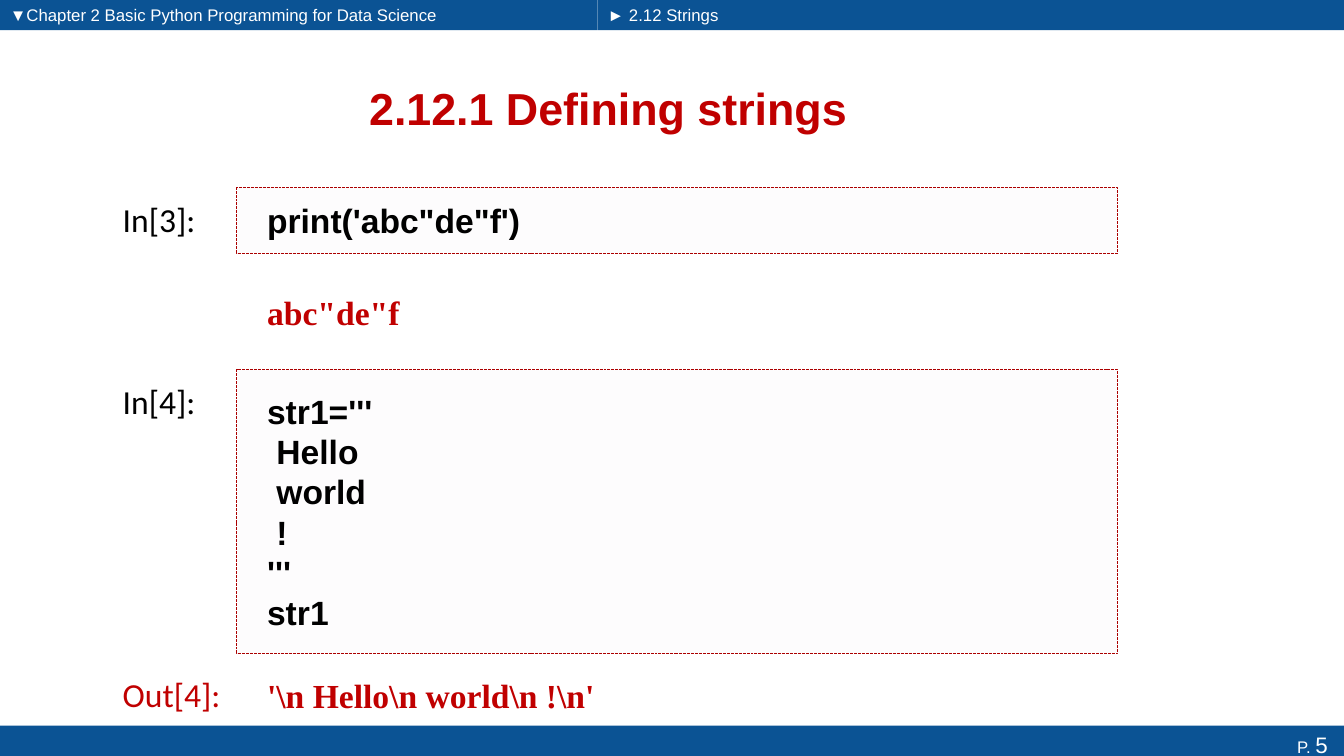
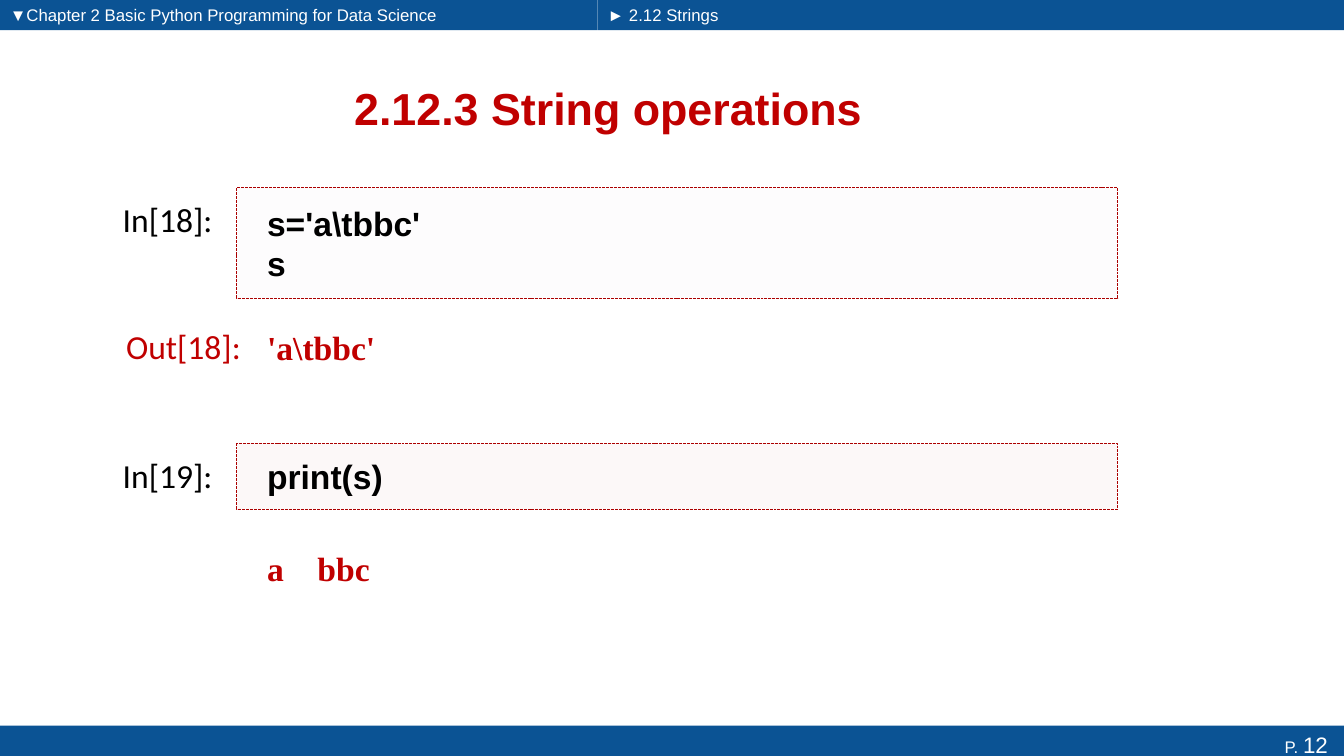
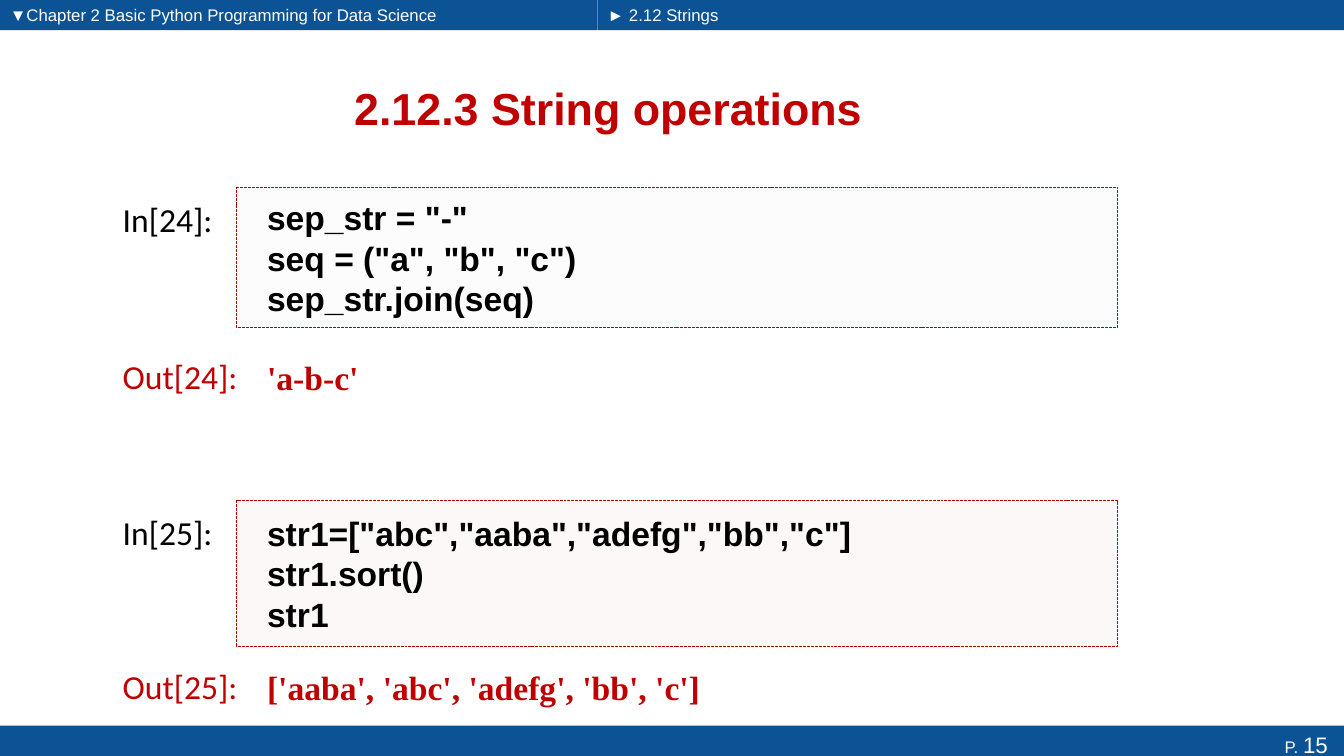
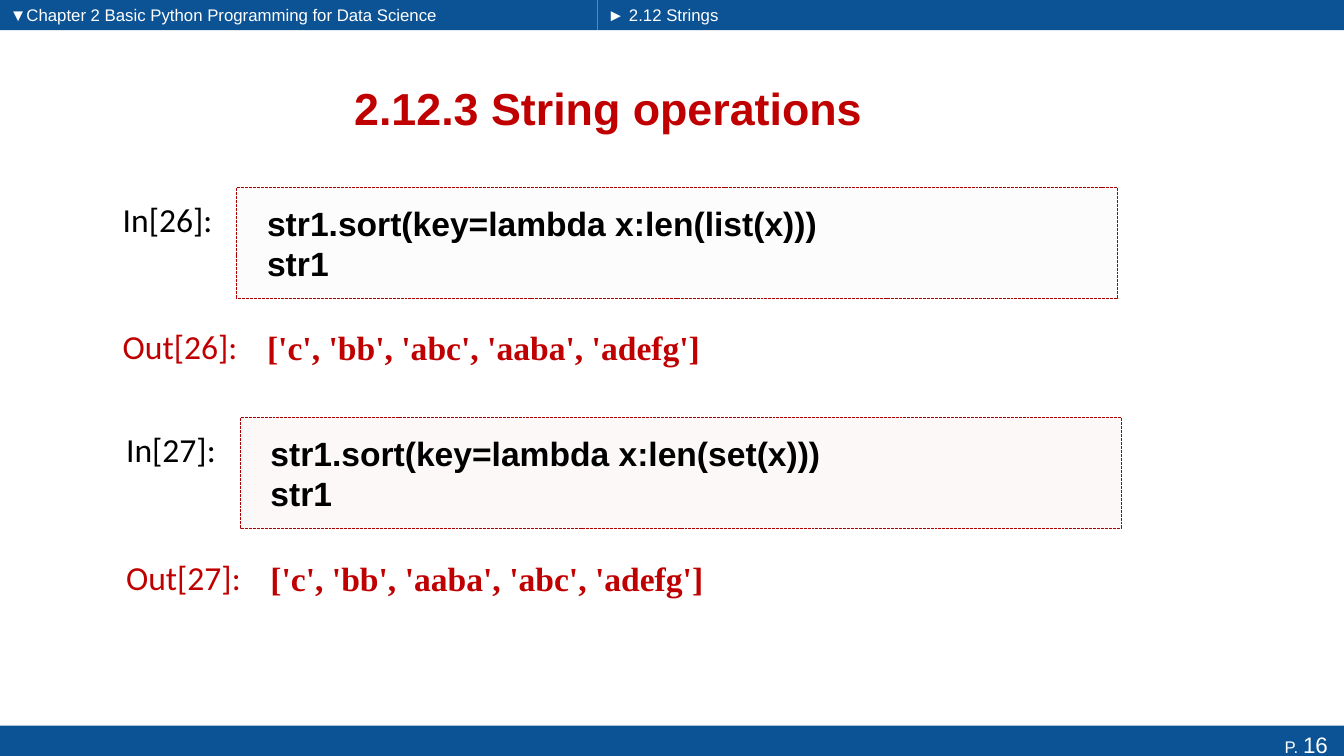
"""Build four slides of notebook cells about Python strings."""
from lxml import etree
from pptx import Presentation
from pptx.dml.color import RGBColor
from pptx.enum import dml, shapes, text
from pptx.oxml.ns import qn
from pptx.util import Pt

BLUE = RGBColor(0x0B, 0x53, 0x94)
WHITE = RGBColor(0xFF, 0xFF, 0xFF)
BLACK = RGBColor(0, 0, 0)
RED = RGBColor(0xC0, 0, 0)
DARK_RED = RGBColor(0xAB, 0, 0)
GREY = RGBColor(0xF1, 0xEE, 0xF4)
PINK = RGBColor(0xED, 0xCD, 0xCB)

BAND = dict(name="Arial", size=Pt(12), color=WHITE)
PAGE = dict(BAND, size=Pt(16))
TITLE = dict(name="Arial", size=Pt(32), bold=True, color=RED)
CODE = dict(name="Arial", size=Pt(24), bold=True, color=BLACK)
RESULT = dict(CODE, name="Times New Roman", color=RED)
IN_LABEL = dict(name="Calibri", size=Pt(24), color=BLACK)
OUT_LABEL = dict(IN_LABEL, color=RED)

WIDTH, HEIGHT = 960, 540
LABEL_LEFT, LABEL_WIDTH, LABEL_DROP = 80.6, 108, 4.6
CELL_LEFT, CELL_WIDTH, LINE_HEIGHT = 169.2, 629.3, 46.8
SHIFT = 2.4

SLIDES = [
    ("2.12.1 Defining strings", 5, [
        ("In[3]:", 0, 0, 134, LINE_HEIGHT, GREY, ["print('abc\"de\"f')"]),
        ("", 0, 0, 199.4, LINE_HEIGHT, None, ["abc\"de\"f"]),
        ("In[4]:", 0, 0, 263.8, 203, GREY,
         ["str1='''", " Hello", " world", " !", "'''", "str1"]),
        ("Out[4]:", 0, 0, 473, LINE_HEIGHT, None, [r"'\n Hello\n world\n !\n'"]),
    ]),
    ("2.12.3 String operations", 12, [
        ("In[18]:", 0, 0, 134, 79, GREY, [r"s='a\tbbc'", "s"]),
        ("Out[18]:", SHIFT, 0, 224.6, LINE_HEIGHT, None, [r"'a\tbbc'"]),
        ("In[19]:", 0, 0, 316.8, LINE_HEIGHT, PINK, ["print(s)"]),
        ("", 0, 0, 382.3, LINE_HEIGHT, None, ["a\tbbc"]),
    ]),
    ("2.12.3 String operations", 15, [
        ("In[24]:", 0, 0, 134, 100, GREY,
         ['sep_str = "-"', 'seq = ("a", "b", "c")', "sep_str.join(seq)"]),
        ("Out[24]:", 0, 0, 246.2, LINE_HEIGHT, None, ["'a-b-c'"]),
        ("In[25]:", 0, 0, 357.6, 104, PINK,
         ['str1=["abc","aaba","adefg","bb","c"]', "str1.sort()", "str1"]),
        ("Out[25]:", 0, 0, 467.3, LINE_HEIGHT, None,
         ["['aaba', 'abc', 'adefg', 'bb', 'c']"]),
    ]),
    ("2.12.3 String operations", 16, [
        ("In[26]:", 0, 0, 134, 79, GREY,
         ["str1.sort(key=lambda x:len(list(x)))", "str1"]),
        ("Out[26]:", 0, 0, 224.6, LINE_HEIGHT, None,
         ["['c', 'bb', 'abc', 'aaba', 'adefg']"]),
        ("In[27]:", SHIFT, SHIFT, 298.4, 79, PINK,
         ["str1.sort(key=lambda x:len(set(x)))", "str1"]),
        ("Out[27]:", SHIFT, SHIFT, 389.5, LINE_HEIGHT, None,
         ["['c', 'bb', 'aaba', 'abc', 'adefg']"]),
    ]),
]


def add_box(s, left, top, width, height, fill=None):
    """Add a text box, or a plain rectangle when a fill is given."""
    box = [Pt(v) for v in (left, top, width, height)]
    if fill is None:
        sp = s.shapes.add_textbox(*box)
    else:
        sp = s.shapes.add_shape(shapes.MSO_SHAPE.RECTANGLE, *box)
        sp.shadow.inherit = False
        sp.fill.solid()
        sp.fill.fore_color.rgb = fill
        sp.line.fill.background()
    sp.text_frame.word_wrap = True
    sp.text_frame.vertical_anchor = text.MSO_ANCHOR.TOP
    return sp


def write(p, words, fmt, align=text.PP_ALIGN.LEFT):
    """Append a formatted run to a paragraph."""
    p.alignment = align
    r = p.add_run()
    r.text = words
    for key, value in fmt.items():
        if key == "color":
            r.font.color.rgb = value
        else:
            setattr(r.font, key, value)


prs = Presentation()
prs.slide_width, prs.slide_height = Pt(WIDTH), Pt(HEIGHT)

for title, page, cells in SLIDES:
    s = prs.slides.add_slide(prs.slide_layouts[6])

    for left, width, words in [
        (0, 427, "▼Chapter 2 Basic Python Programming for Data Science"),
        (427, WIDTH - 427, "► 2.12 Strings"),
    ]:
        sp = add_box(s, left, 0, width, 21.6, BLUE)
        write(sp.text_frame.paragraphs[0], words, BAND)

    sp = add_box(s, 0, 518.4, WIDTH, 26.6, BLUE)
    p = sp.text_frame.paragraphs[0]
    write(p, "P. ", BAND, text.PP_ALIGN.RIGHT)
    write(p, f"{page} ", PAGE, text.PP_ALIGN.RIGHT)

    sp = add_box(s, 48.6, 44.6, 772, 65)
    sp.text_frame.vertical_anchor = text.MSO_ANCHOR.MIDDLE
    write(sp.text_frame.paragraphs[0], title, TITLE, text.PP_ALIGN.CENTER)

    for label, label_shift, cell_shift, top, height, tint, lines in cells:
        if label:
            sp = add_box(s, LABEL_LEFT + label_shift, top + LABEL_DROP, LABEL_WIDTH, 36)
            write(sp.text_frame.paragraphs[0], label, IN_LABEL if tint else OUT_LABEL)

        sp = add_box(s, CELL_LEFT + cell_shift, top, CELL_WIDTH, height, tint)
        if tint:
            color = sp.fill._xPr.find(qn("a:solidFill"))[0]
            etree.SubElement(color, qn("a:alpha"), val="13000")
            sp.line.color.rgb = DARK_RED
            sp.line.width = Pt(0.7)
            sp.line.dash_style = dml.MSO_LINE.SQUARE_DOT
        tf = sp.text_frame
        tf.vertical_anchor = text.MSO_ANCHOR.MIDDLE
        tf.margin_left = Pt(21.6)
        for i, line in enumerate(lines):
            p = tf.add_paragraph() if i else tf.paragraphs[0]
            write(p, line, CODE if tint else RESULT)

prs.save("out.pptx")
